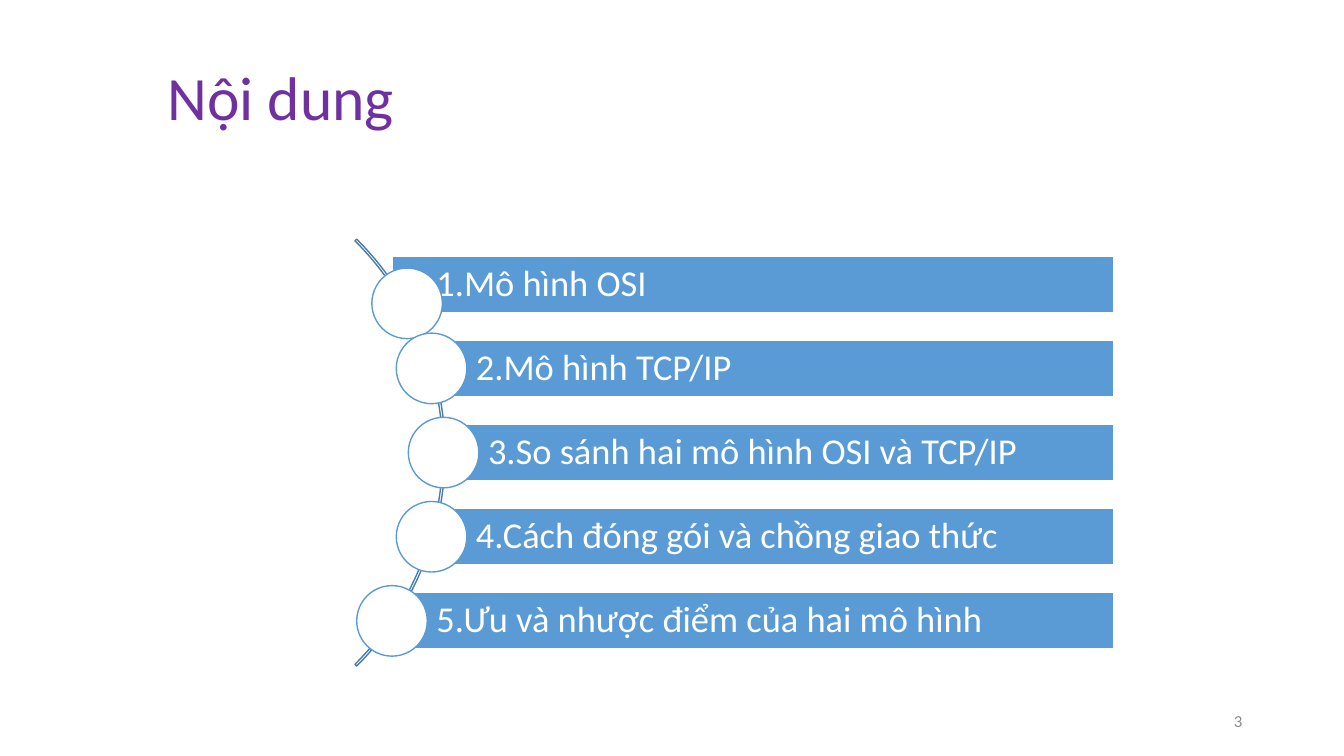
from math import sqrt

from lxml import etree
from pptx import Presentation
from pptx.dml.color import RGBColor
from pptx.enum.shapes import MSO_SHAPE as SHAPE
from pptx.enum.text import MSO_ANCHOR as ANCHOR, MSO_AUTO_SIZE as AUTO, PP_ALIGN as ALIGN
from pptx.util import Inches, Pt

COLORS = {
    "title": "7030A0",
    "bar": "5B9BD5",
    "arc": "497CAB",
    "white": "FFFFFF",
    "number": "8C8C8C",
}
TOPICS = [
    "1.Mô hình OSI",
    "2.Mô hình TCP/IP",
    "3.So sánh hai mô hình OSI và TCP/IP",
    "4.Cách đóng gói và chồng giao thức",
    "5.Ưu và nhược điểm của hai mô hình",
]


def rgb(name):
    return RGBColor.from_string(COLORS[name])


def write(sp, text, size, color, align=ALIGN.LEFT, anchor=ANCHOR.TOP,
          insets=(0.1, 0.05, 0.1, 0.05), spacing=None, auto=AUTO.NONE):
    tf = sp.text_frame
    tf.word_wrap = True
    tf.auto_size = auto
    tf.vertical_anchor = anchor
    tf.margin_left, tf.margin_top, tf.margin_right, tf.margin_bottom = map(Inches, insets)
    p = tf.paragraphs[0]
    p.alignment = align
    if spacing:
        p.line_spacing = spacing
    r = p.add_run()
    r.text = text
    r.font.name = "Calibri"
    r.font.size = Pt(size)
    r.font.color.rgb = rgb(color)


def add_text(s, box, text, **fmt):
    write(s.shapes.add_textbox(*map(Inches, box)), text, **fmt)


def add_shape(s, kind, box, line, fill=None):
    sp = s.shapes.add_shape(kind, *map(Inches, box))
    sp.shadow.inherit = False
    if fill:
        sp.fill.solid()
        sp.fill.fore_color.rgb = rgb(fill)
    else:
        sp.fill.background()
    sp.line.color.rgb = rgb(line)
    sp.line.width = Pt(1)
    return sp


def add_agenda(s, box, topics):
    left, top, width, height = box
    right, mid_y = left + width, top + height / 2
    bar_h, dot, pitch = 0.56, 0.7, 0.835

    # Thin arc: the right quarter of a large ring
    ring, ring_x = 5.99, left - 2.11
    arc = add_shape(s, SHAPE.BLOCK_ARC,
                    (ring_x - ring / 2, mid_y - ring / 2, ring, ring), "arc")
    for i, value in enumerate((189, 27, 0.004)):
        arc.adjustments[i] = value

    # Bars start on the arc, each with a dot at its left end
    radius = 2.98
    for i, topic in enumerate(topics):
        dy = (i - (len(topics) - 1) / 2) * pitch
        x, y = ring_x + sqrt(radius ** 2 - dy ** 2), mid_y + dy
        bar = add_shape(s, SHAPE.RECTANGLE,
                        (x, y - bar_h / 2, right - x, bar_h), "white", "bar")
        write(bar, topic, 26, "white", anchor=ANCHOR.MIDDLE,
              insets=(0.44, 0.07, 0.07, 0.07), spacing=0.9)
        # The first dot sits a little lower and further right
        shift_x, shift_y = (0.15, 0.19) if i == 0 else (0, 0)
        add_shape(s, SHAPE.OVAL,
                  (x - dot / 2 + shift_x, y - dot / 2 + shift_y, dot, dot),
                  "bar", "white")


def main():
    prs = Presentation()
    prs.slide_width, prs.slide_height = Inches(13.33), Inches(7.5)
    s = prs.slides.add_slide(prs.slide_layouts[6])

    # Title
    add_text(s, (0.53, 0.54, 4.51, 0.84), "Nội dung", size=44, color="title",
             align=ALIGN.CENTER, auto=AUTO.SHAPE_TO_FIT_TEXT)
    # Agenda
    add_agenda(s, (3.53, 2.36, 7.52, 4.26), TOPICS)
    # Slide number
    add_text(s, (9.42, 6.95, 3, 0.4), "3", size=12, color="number",
             align=ALIGN.RIGHT, anchor=ANCHOR.MIDDLE)

    prs.save("out.pptx")


if __name__ == "__main__":
    main()
